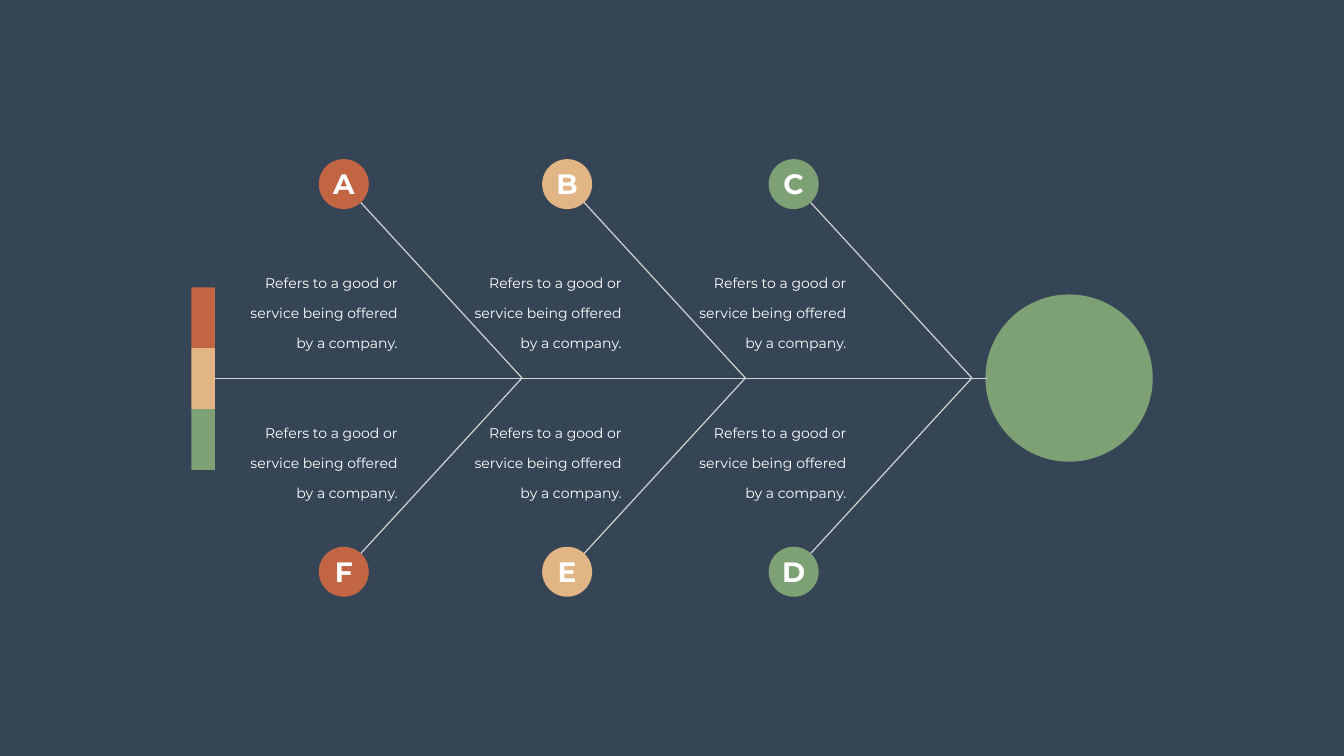
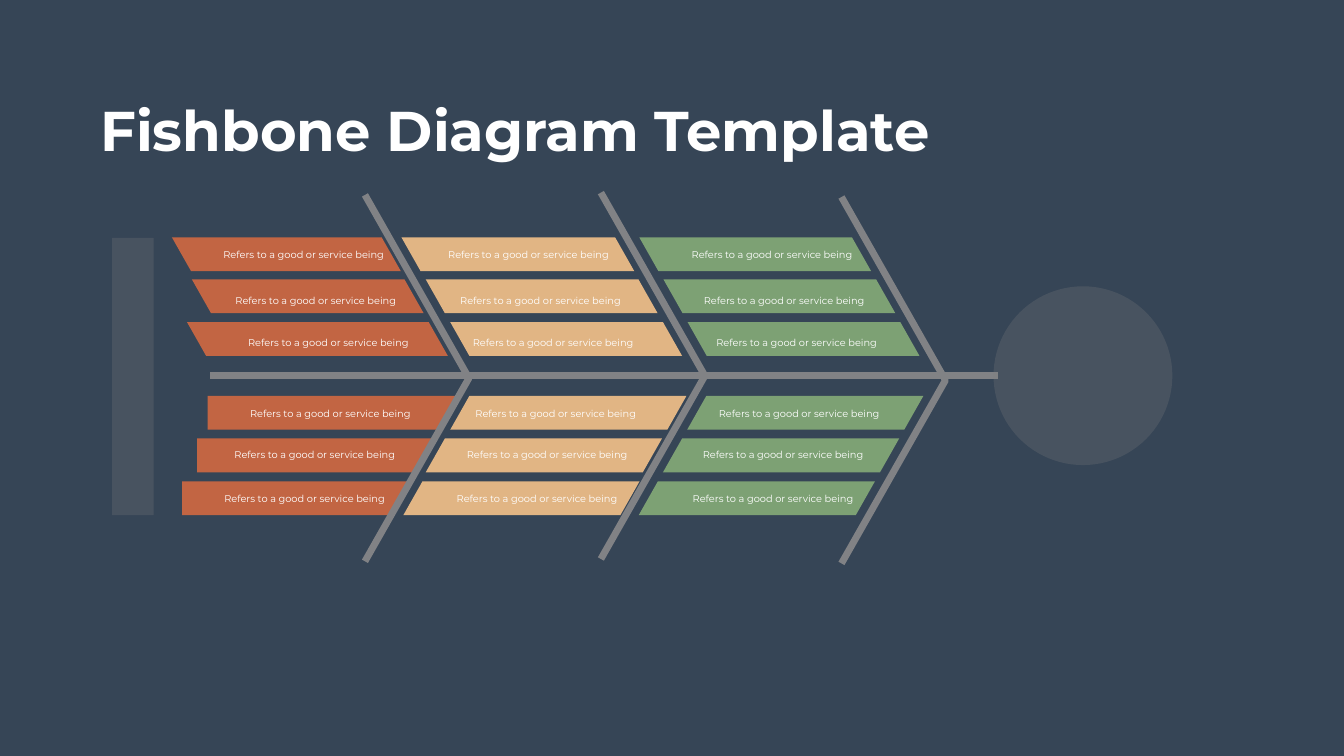
from lxml import etree
from pptx import Presentation
from pptx import util as u
from pptx.dml.color import RGBColor
from pptx.enum import shapes, text
from pptx.oxml.ns import qn

COLOURS = {
    "back": "364556", "orange": "C26543", "sand": "E1B584", "green": "7DA174",
    "thin bone": "D0D2D3", "thick bone": "818285", "ghost": "808080", "white": "FFFFFF",
}
GROUPS = ["orange", "sand", "green"]
ALIGN = text.PP_ALIGN
PADDED = {"margin_left": u.Pt(17.3), "margin_right": u.Pt(17.3),
          "margin_top": u.Pt(8.6), "margin_bottom": u.Pt(8.6)}


def paint(shape, colour, opacity=None):
    """Give a flat fill without line or shadow; opacity is in percent."""
    shape.shadow.inherit = False
    shape.line.fill.background()
    shape.fill.solid()
    shape.fill.fore_color.rgb = RGBColor.from_string(COLOURS[colour])
    if opacity:
        colour_node = shape.fill._xPr.find(".//" + qn("a:srgbClr"))
        etree.SubElement(colour_node, qn("a:alpha"), val=str(opacity * 1000))


def write(shape, words, size, bold=False, frame_format=None, paragraph_format=None):
    frame = shape.text_frame
    frame.text = words
    paragraph = frame.paragraphs[0]
    frame_values = {"word_wrap": True, "vertical_anchor": text.MSO_ANCHOR.TOP,
                    "auto_size": text.MSO_AUTO_SIZE.SHAPE_TO_FIT_TEXT}
    frame_values.update(frame_format or {})
    font_values = {"name": "Montserrat", "size": u.Pt(size), "bold": bold}
    for target, values in ((frame, frame_values),
                           (paragraph, paragraph_format or {}),
                           (paragraph.runs[0].font, font_values)):
        for attribute, value in values.items():
            setattr(target, attribute, value)
    paragraph.runs[0].font.color.rgb = RGBColor.from_string(COLOURS["white"])


deck = Presentation()
deck.slide_width, deck.slide_height = u.Pt(1919.52), u.Pt(1080)
backdrop = deck.slide_master.background.fill
backdrop.solid()
backdrop.fore_color.rgb = RGBColor.from_string(COLOURS["back"])
lettered = deck.slides.add_slide(deck.slide_layouts[6])
layered = deck.slides.add_slide(deck.slide_layouts[5])

# Fish head of the lettered diagram, behind its spine
head = lettered.shapes.add_shape(
    shapes.MSO_SHAPE.OVAL, u.Pt(1407.4), u.Pt(420.6), u.Pt(239), u.Pt(239))
paint(head, "green")

# Cause bars: top, caption top, then left, width and caption left for each group
BAR_HEIGHT, SLANT = 48.4, 27.4
upper_rows = [
    (339, 338.4, [(245.5, 327), (573.3, 332.6), (913, 331.2)], [301.7, 622.8, 970.6]),
    (399, 403.9, [(274, 331), (608, 331.2), (947.5, 331.2)], [319, 640, 988]),
    (460, 463.7, [(267, 372.6), (643, 331.2), (982, 331.2)], [337, 658, 1005.8]),
]
lower_rows = [
    (565.5, 565.2, [(296.6, 360.4), (643, 337.4), (981.4, 337.4)], [339.8, 661.7, 1009.4]),
    (626.4, 623.5, [(281.5, 337.4), (608, 337.4), (946.8, 337.4)], [317.5, 649.4, 986.4]),
    (687.6, 686.9, [(260, 327), (576, 337.4), (912.2, 337.4)], [303, 635, 972]),
]
for rows, upper in ((upper_rows, True), (lower_rows, False)):
    for top, _, extents, _ in rows:
        for group, (left, width) in zip(GROUPS, extents):
            right, bottom = left + width, top + BAR_HEIGHT
            if upper:
                corners = [(left, top), (right - SLANT, top),
                           (right, bottom), (left + SLANT, bottom)]
            else:
                tail_slant = 0 if group == "orange" else SLANT
                corners = [(left + tail_slant, top), (right, top),
                           (right - SLANT, bottom), (left, bottom)]
            points = [(u.Pt(x), u.Pt(y)) for x, y in corners]
            outline = layered.shapes.build_freeform(*points[0])
            outline.add_line_segments(points[1:], close=True)
            paint(outline.convert_to_shape(), group)

# Spine and ribs of both diagrams; each rib pair is (tip x, joint y)
BONES = [491, 810, 1133.5]
skeletons = [
    (lettered, "thin bone", 1.73, (1409, 306.7, 540.3), (254.6, 277.2),
     [(x, 540) for x in BONES]),
    (layered, "thick bone", 9.84, (1424.9, 299.5, 536.4), (148.5, 261.7),
     [(521.2, 540.2), (858.2, 536.9), (1201.8, 543.2)]),
]
for slide, colour, weight, (front, back, spine_y), (reach, rise), ribs in skeletons:
    spine = slide.shapes.add_connector(
        shapes.MSO_CONNECTOR.STRAIGHT, u.Pt(front), u.Pt(spine_y), u.Pt(back), u.Pt(spine_y))
    etree.SubElement(spine._element.spPr, qn("a:effectLst"))
    bones = [spine]
    for tip, joint in reversed(ribs):
        outline = slide.shapes.build_freeform(u.Pt(tip), u.Pt(joint - rise))
        outline.add_line_segments([(u.Pt(tip + reach), u.Pt(joint)),
                                   (u.Pt(tip), u.Pt(joint + rise))], close=False)
        rib = outline.convert_to_shape()
        rib.fill.background()
        rib.shadow.inherit = False
        bones.append(rib)
    for bone in bones:
        bone.line.color.rgb = RGBColor.from_string(COLOURS[colour])
        bone.line.width = u.Pt(weight)

# Lettered diagram: tail, then a badge and a description at each rib tip
for row, group in enumerate(GROUPS):
    tail = lettered.shapes.add_shape(
        shapes.MSO_SHAPE.RECTANGLE, u.Pt(273.4), u.Pt(410.4 + 87 * row), u.Pt(33.6), u.Pt(87))
    paint(tail, group)

BADGE = 71.4
for letters, badge_y, description_top in (("ABC", 263, 365), ("FED", 816.8, 579)):
    for letter, group, x, description_left in zip(letters, GROUPS, BONES, (326, 646, 967)):
        badge = lettered.shapes.add_shape(
            shapes.MSO_SHAPE.OVAL, u.Pt(x - BADGE / 2), u.Pt(badge_y - BADGE / 2),
            u.Pt(BADGE), u.Pt(BADGE))
        paint(badge, group)
        label = lettered.shapes.add_textbox(
            u.Pt(x - 57.2), u.Pt(badge_y - 28.4), u.Pt(114.4), u.Pt(55.4))
        write(label, letter, 40, True, paragraph_format={"alignment": ALIGN.CENTER})
        description = lettered.shapes.add_textbox(
            u.Pt(description_left), u.Pt(description_top), u.Pt(259.2), u.Pt(141.8))
        write(description, "Refers to a good or service being offered by a company.", 20,
              frame_format=PADDED,
              paragraph_format={"alignment": ALIGN.RIGHT, "line_spacing": u.Pt(43),
                                "space_before": u.Pt(4)})

# Layered diagram: tail and head, bar captions, title
for kind, left, top, width, height in (
        (shapes.MSO_SHAPE.RECTANGLE, 160, 340, 59.6, 396),
        (shapes.MSO_SHAPE.OVAL, 1419, 409, 255.4, 255.4)):
    end = layered.shapes.add_shape(kind, u.Pt(left), u.Pt(top), u.Pt(width), u.Pt(height))
    paint(end, "ghost", 25)

for _, caption_top, _, caption_lefts in upper_rows + lower_rows:
    for left in caption_lefts:
        caption = layered.shapes.add_textbox(
            u.Pt(left), u.Pt(caption_top), u.Pt(278), u.Pt(39.6))
        write(caption, "Refers to a good or service being", 14, frame_format=PADDED,
              paragraph_format={"line_spacing": 1.5, "space_before": u.Pt(2.8)})

title = layered.shapes.title
for side, length in {"left": 136, "top": 133.2, "width": 1203, "height": 104.4}.items():
    setattr(title, side, u.Pt(length))
write(title, "Fishbone Diagram Template", 80, True, {"word_wrap": False},
      {"alignment": ALIGN.LEFT})

deck.save("out.pptx")
